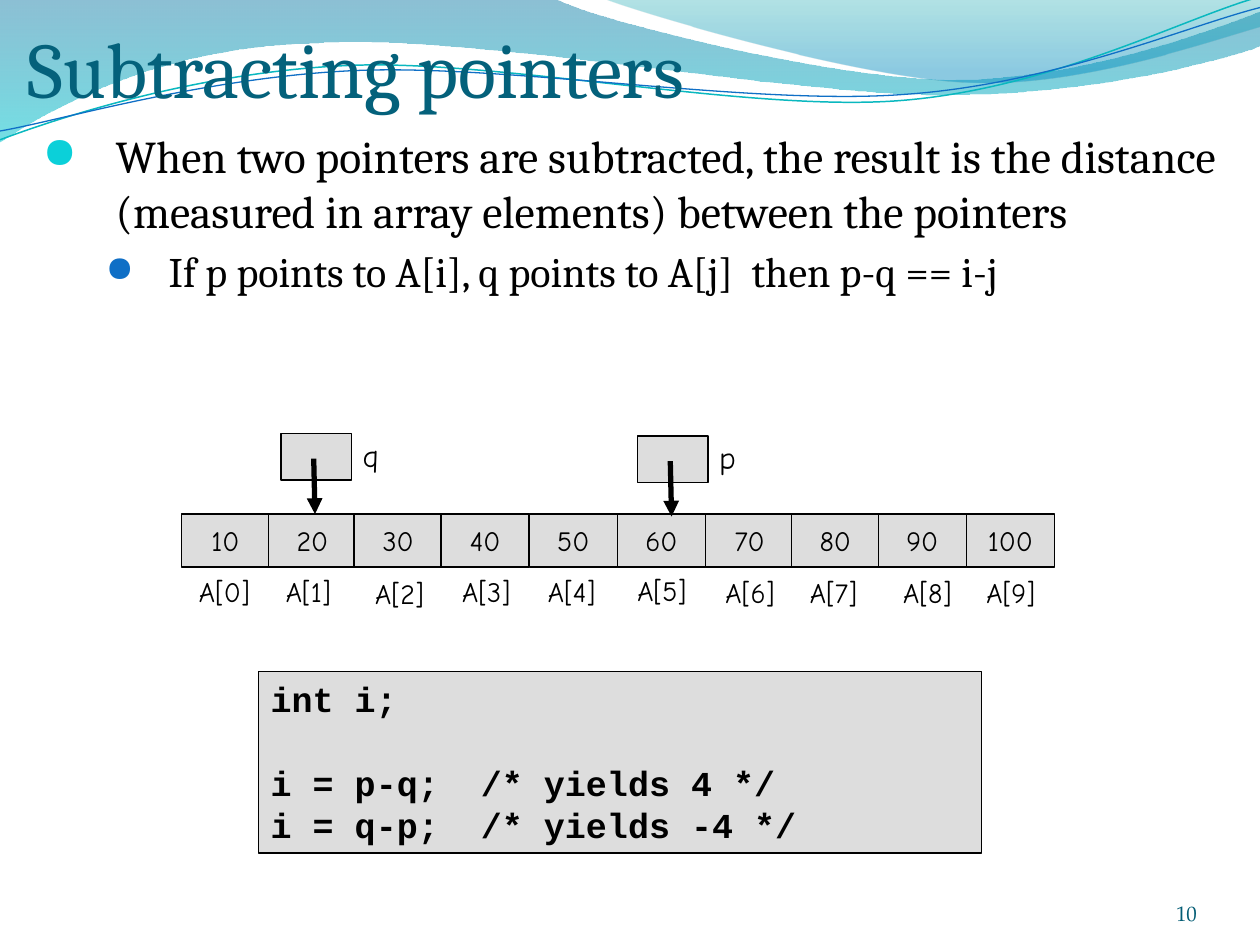
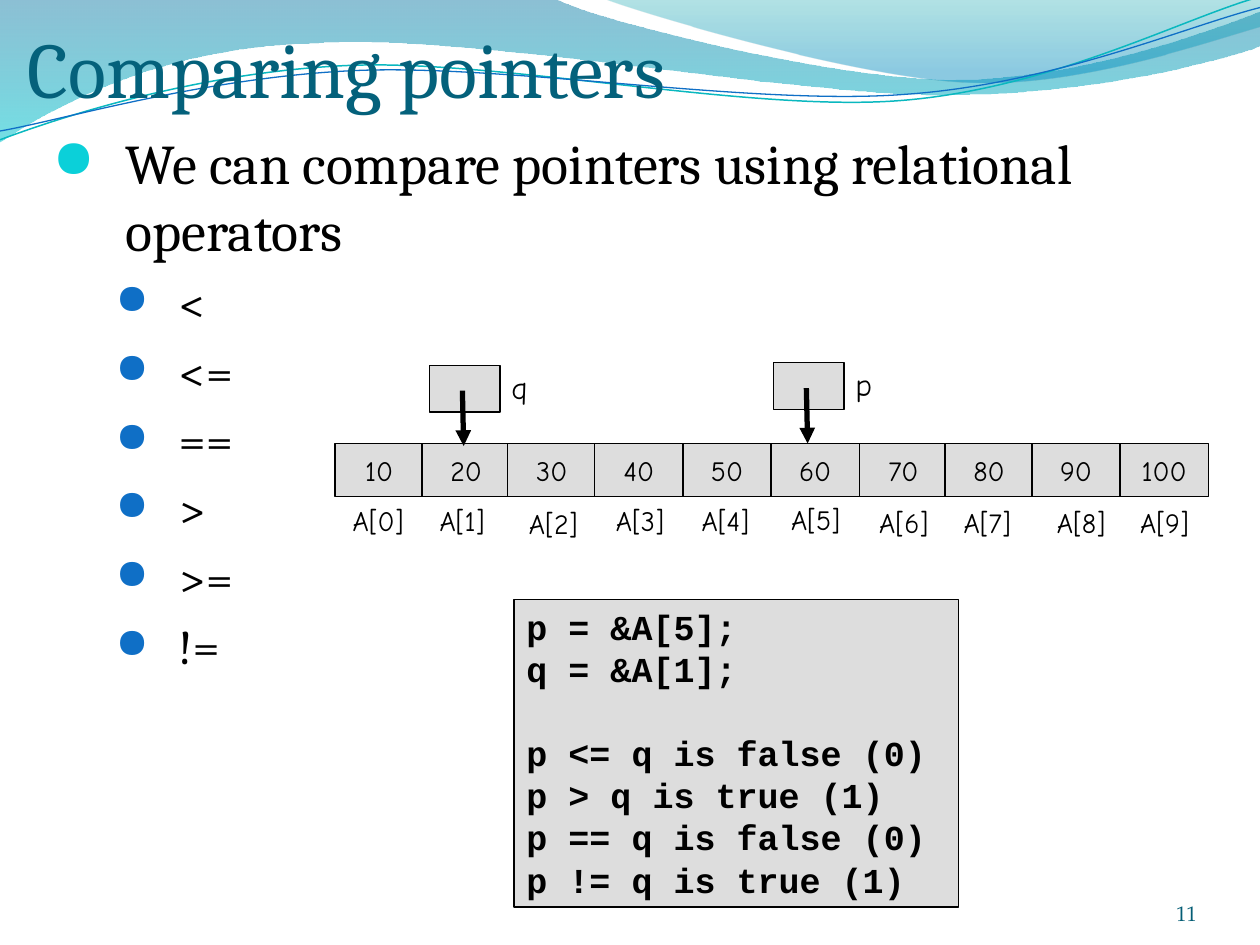
import lxml.etree
import pptx
import pptx.dml.color
import pptx.enum.shapes
import pptx.enum.text
import pptx.oxml.ns
import pptx.util

Inches = pptx.util.Inches
Pt = pptx.util.Pt
ALIGN = pptx.enum.text.PP_ALIGN
ANCHOR = pptx.enum.text.MSO_ANCHOR
RECT = pptx.enum.shapes.MSO_SHAPE.RECTANGLE
STRAIGHT = pptx.enum.shapes.MSO_CONNECTOR.STRAIGHT
qn = pptx.oxml.ns.qn

BLACK = "000000"
GRAY = "DDDDDD"
TITLE_COLOR = "04617B"
NUMBER_COLOR = "045D75"
SERIF = "Cambria"
NUMBER_FONT = "TeX Gyre Pagella"
HAND = "Comic Neue"
MONO = "Courier New"
BULLET_FONT = "OpenSymbol"

BULLETS = [
    {"color": "0BD0D9", "size": 95, "left": 0.58, "hang": 0.58},
    {"color": "0F6FC6", "size": 85, "left": 1, "hang": 0.5},
]

CELL_LEFTS = [0, 0.69, 1.37, 2.06, 2.76, 3.46, 4.16, 4.84, 5.53, 6.23]
LABEL_LEFTS = [0.04, 0.73, 1.44, 2.13, 2.81, 3.52, 4.22, 4.89, 5.63, 6.29]
LABEL_TOPS = [0.43, 0.43, 0.45, 0.43, 0.43, 0.42, 0.44, 0.44, 0.44, 0.44]

WAVE_BAND = [
    [(0, 0)], [(4.4, -0.01)],
    [(4.76, 0.17), (6.64, 0.63), (7.58, 0.63)],
    [(8.53, 0.63), (9.58, 0.26), (10, 0.09)], [(10.01, 0.36)],
    [(9.83, 0.44), (8.7, 0.76), (7.46, 0.75)],
    [(6.22, 0.75), (3.82, 0.28), (2.57, 0.34)],
    [(1.29, 0.36), (0.46, 0.83), (-0.01, 1.13)], [(0, 0)],
]
CORNER_BAND = [
    [(4.79, -0.01)],
    [(5.09, 0.11), (6.82, 0.62), (7.69, 0.65)],
    [(8.56, 0.69), (9.61, 0.32), (10, 0.21)], [(10, 0)], [(4.79, -0.01)],
]
TEAL_LINE = [
    [(0, 1.11)],
    [(0.48, 0.93), (1.58, 0.57), (2.77, 0.52)],
    [(3.95, 0.47), (5.93, 0.89), (7.13, 0.8)],
    [(8.33, 0.71), (9.38, 0.15), (9.98, -0.02)],
]
BLUE_LINE = [
    [(0, 1.04)],
    [(0.47, 0.96), (1.64, 0.61), (2.83, 0.56)],
    [(4.03, 0.51), (5.97, 0.84), (7.17, 0.75)],
    [(8.36, 0.67), (9.41, 0.21), (10, 0.06)],
]


def rgb(value):
    return pptx.dml.color.RGBColor.from_string(value)


def sub(parent, tag, **attrs):
    return lxml.etree.SubElement(parent, qn(tag), attrs)


def add_run(p, text, font, size, color=BLACK, bold=False):
    r = p.add_run()
    r.text = text
    r.font.name = font
    r.font.size = Pt(size)
    r.font.bold = bold
    r.font.color.rgb = rgb(color)


def add_textbox(s, x, y, w, h, wrap=True):
    tf = s.shapes.add_textbox(Inches(x), Inches(y), Inches(w), Inches(h)).text_frame
    tf.word_wrap = wrap
    return tf


def add_gray_box(s, x, y, w, h):
    sp = s.shapes.add_shape(RECT, Inches(x), Inches(y), Inches(w), Inches(h))
    sp.shadow.inherit = False
    sp.fill.solid()
    sp.fill.fore_color.rgb = rgb(GRAY)
    sp.line.color.rgb = rgb(BLACK)
    sp.line.width = Pt(0.75)
    return sp


def add_outline(s, segments, close):
    start, *points = [(Inches(x), Inches(y)) for segment in segments for x, y in segment]
    builder = s.shapes.build_freeform(*start)
    builder.add_line_segments(points, close=close)
    sp = builder.convert_to_shape()
    sp.shadow.inherit = False
    lines = iter(list(sp.element.spPr.iter(qn("a:lnTo"))))
    for segment in segments[1:]:
        first, *others = [next(lines) for point in segment]
        if others:
            curve = lxml.etree.Element(qn("a:cubicBezTo"))
            first.addprevious(curve)
            for line in (first, *others):
                curve.append(line[0])
                line.getparent().remove(line)
    return sp


def add_band(s, segments, stops):
    sp = add_outline(s, segments, True)
    sp.line.fill.background()
    sp.fill.gradient()
    sp.fill.gradient_angle = 270
    for stop, (position, color, opacity) in zip(sp.fill.gradient_stops, stops):
        stop.position = position
        stop.color.rgb = rgb(color)
    for clr, (position, color, opacity) in zip(sp.element.spPr.iter(qn("a:srgbClr")), stops):
        sub(clr, "a:alpha", val=str(opacity * 1000))


def add_wave_line(s, segments, color, width):
    sp = add_outline(s, segments, False)
    sp.fill.background()
    sp.line.color.rgb = rgb(color)
    sp.line.width = Pt(width)


def add_waves(s):
    add_band(s, WAVE_BAND, [(0, "0074A1", 45), (1, "00C6CF", 55)])
    add_band(s, CORNER_BAND, [(0, "00A1A9", 30), (0.8, "008BBF", 45)])
    add_wave_line(s, TEAL_LINE, "0AB8BF", 0.85)
    add_wave_line(s, BLUE_LINE, "0F6FC6", 0.75)


def add_title(s, text):
    tf = add_textbox(s, 0.22, 0.15, 9.5, 0.76)
    tf.margin_left = tf.margin_right = tf.margin_bottom = 0
    tf.vertical_anchor = ANCHOR.BOTTOM
    add_run(tf.paragraphs[0], text, SERIF, 45, TITLE_COLOR)


def add_slide_number(s, number):
    tf = add_textbox(s, 8.67, 6.95, 0.83, 0.4)
    tf.margin_left = tf.margin_right = tf.margin_top = tf.margin_bottom = 0
    tf.vertical_anchor = ANCHOR.BOTTOM
    p = tf.paragraphs[0]
    p.alignment = ALIGN.RIGHT
    add_run(p, str(number), NUMBER_FONT, 12, NUMBER_COLOR)


def set_hanging(p, left, hang):
    pPr = p._p.get_or_add_pPr()
    pPr.set("marL", str(Inches(left)))
    pPr.set("indent", str(-Inches(hang)))
    return pPr


def add_bullets(s, x, y, w, h, sizes, items):
    tf = add_textbox(s, x, y, w, h)
    for i, (level, text) in enumerate(items):
        p = tf.paragraphs[0] if i == 0 else tf.add_paragraph()
        bullet = BULLETS[level]
        p.level = level
        p.space_before = Pt(sizes[level] * 0.2)
        pPr = set_hanging(p, bullet["left"], bullet["hang"])
        sub(sub(pPr, "a:buClr"), "a:srgbClr", val=bullet["color"])
        sub(pPr, "a:buSzPct", val=str(bullet["size"] * 1000))
        sub(pPr, "a:buFont", typeface=BULLET_FONT)
        sub(pPr, "a:buChar", char="●")
        add_run(p, text, SERIF, sizes[level])


def add_code(s, x, y, w, h, blocks):
    tf = add_gray_box(s, x, y, w, h).text_frame
    tf.word_wrap = True
    tf.vertical_anchor = ANCHOR.TOP
    p = tf.paragraphs[0]
    for b, block in enumerate(blocks):
        for i, line in enumerate(block):
            if b or i:
                p = tf.add_paragraph()
            if b and i == 0:
                p.space_before = Pt(24)
            p.alignment = ALIGN.LEFT
            set_hanging(p, 0.38, 0.38)
            add_run(p, line, MONO, 20, bold=True)


def add_array(s, x, y):
    for i, left in enumerate(CELL_LEFTS):
        tf = add_gray_box(s, x + left, y, 0.7, 0.42).text_frame
        tf.word_wrap = False
        tf.vertical_anchor = ANCHOR.MIDDLE
        p = tf.paragraphs[0]
        p.alignment = ALIGN.CENTER
        add_run(p, str(10 * (i + 1)), HAND, 16)
    for i, (left, top) in enumerate(zip(LABEL_LEFTS, LABEL_TOPS)):
        tf = add_textbox(s, x + left, y + top, 0.63 if i == 1 else 0.67, 0.37, wrap=False)
        add_run(tf.paragraphs[0], f"A[{i}]", HAND, 16)


def add_pointer(s, x, y, name):
    add_gray_box(s, x, y, 0.56, 0.37)
    arrow = s.shapes.add_connector(STRAIGHT, Inches(x + 0.26), Inches(y + 0.2),
                                   Inches(x + 0.27), Inches(y + 0.64))
    arrow.line.color.rgb = rgb(BLACK)
    arrow.line.width = Pt(3)
    sub(arrow.line._get_or_add_ln(), "a:tailEnd", type="triangle")
    sub(arrow.element.spPr, "a:effectLst")
    tf = add_textbox(s, x + 0.55, y - 0.03, 0.33, 0.4, wrap=False)
    add_run(tf.paragraphs[0], name, HAND, 18)


def add_base_slide(prs, title, number):
    s = prs.slides.add_slide(prs.slide_layouts[6])
    add_waves(s)
    add_title(s, title)
    add_slide_number(s, number)
    return s


def subtracting_slide(prs):
    s = add_base_slide(prs, "Subtracting pointers", 10)
    add_bullets(s, 0.24, 0.97, 9.57, 2.12, (26, 24), [
        (0, "When two pointers are subtracted, the result is the distance "
            "(measured in array elements) between the pointers"),
        (1, "If p points to A[i], q points to A[j]  then p-q == i-j"),
    ])
    add_array(s, 1.44, 4.08)
    add_pointer(s, 2.23, 3.44, "q")
    add_pointer(s, 5.06, 3.46, "p")
    add_code(s, 2.05, 5.33, 5.74, 1.44, [
        ["int i;"],
        ["i = p-q;  /* yields 4 */", "i = q-p;  /* yields -4 */"],
    ])


def comparing_slide(prs):
    s = add_base_slide(prs, "Comparing pointers", 11)
    operators = ["<", "<=", "==", ">", ">=", "!="]
    add_bullets(s, 0.32, 0.97, 9.34, 4.8, (32, 28), [
        (0, "We can compare pointers using relational operators"),
        *((1, operator) for operator in operators),
    ])
    add_code(s, 4.08, 4.76, 3.53, 2.44, [
        ["p = &A[5];", "q = &A[1];"],
        ["p <= q is false (0)", "p > q is true (1)",
         "p == q is false (0)", "p != q is true (1)"],
    ])
    add_array(s, 2.66, 3.52)
    add_pointer(s, 3.41, 2.9, "q")
    add_pointer(s, 6.14, 2.88, "p")


def main():
    prs = pptx.Presentation()
    prs.slide_width = Inches(10)
    prs.slide_height = Inches(7.5)
    subtracting_slide(prs)
    comparing_slide(prs)
    prs.save("out.pptx")


if __name__ == "__main__":
    main()
